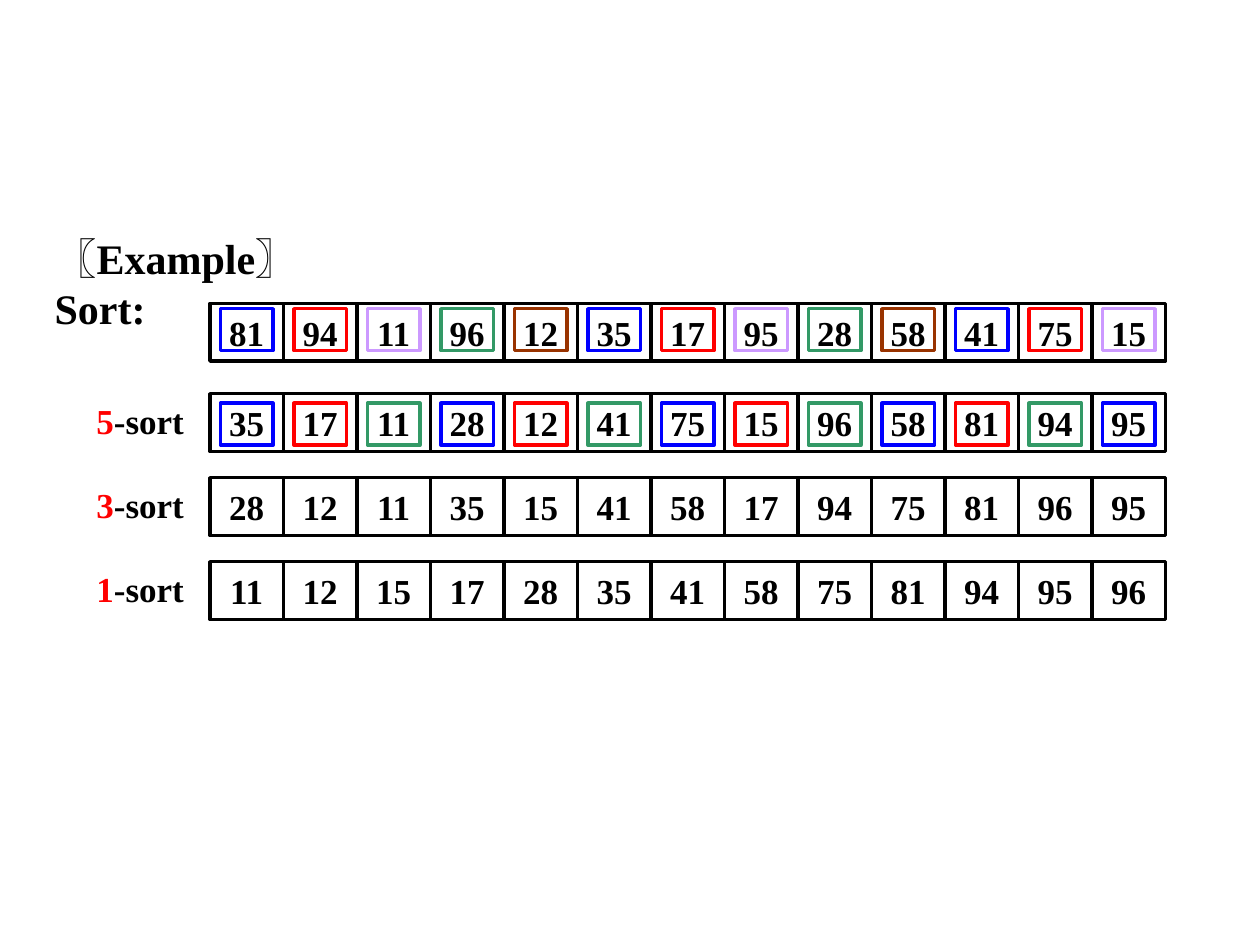
from dataclasses import dataclass

from pptx import Presentation
from pptx.dml.color import RGBColor
from pptx.enum.shapes import MSO_SHAPE
from pptx.enum.text import MSO_ANCHOR, MSO_AUTO_SIZE, PP_ALIGN
from pptx.util import Pt

RECTANGLE = MSO_SHAPE.RECTANGLE
TOP, MIDDLE = MSO_ANCHOR.TOP, MSO_ANCHOR.MIDDLE
LEFT, CENTER = PP_ALIGN.LEFT, PP_ALIGN.CENTER
NO_AUTOFIT = MSO_AUTO_SIZE.NONE

EMU_PER_PX = 7620  # 120 px to the inch


@dataclass(frozen=True)
class Theme:
    font: str = "Times New Roman"
    heading_size: int = 24
    number_size: int = 20
    line_width: int = 2
    black: str = "000000"
    red: str = "FF0000"
    blue: str = "0000FF"
    lilac: str = "CC99FF"
    green: str = "339966"
    brown: str = "993300"


THEME = Theme()

CELL_WIDTH, CELL_HEIGHT = 70, 55
RING_WIDTH, RING_HEIGHT = 50, 40
LABEL_WIDTH, LABEL_HEIGHT = 120, 52
ROW_LEFT, LABEL_LEFT = 200, 80

# top, gap of the sort that made the row, numbers, ring colours in turn, ring offset
ROWS = [
    (289, "", [81, 94, 11, 96, 12, 35, 17, 95, 28, 58, 41, 75, 15],
     [THEME.blue, THEME.red, THEME.lilac, THEME.green, THEME.brown], 5),
    (375, "5", [35, 17, 11, 28, 12, 41, 75, 15, 96, 58, 81, 94, 95],
     [THEME.blue, THEME.red, THEME.green], 9),
    (455, "3", [28, 12, 11, 35, 15, 41, 58, 17, 94, 75, 81, 96, 95], [], 0),
    (535, "1", [11, 12, 15, 17, 28, 35, 41, 58, 75, 81, 94, 95, 96], [], 0),
]


def px(*lengths):
    return [length * EMU_PER_PX for length in lengths]


def write(shape, parts, size, align=LEFT, anchor=TOP):
    """Fill a shape with one paragraph made of (text, colour) parts."""
    frame = shape.text_frame
    frame_format = {"word_wrap": True, "auto_size": NO_AUTOFIT,
                    "vertical_anchor": anchor}
    for name, value in frame_format.items():
        setattr(frame, name, value)
    paragraph = frame.paragraphs[0]
    paragraph.alignment = align
    font_format = {"name": THEME.font, "size": Pt(size), "bold": True}
    for text, colour in parts:
        run = paragraph.add_run()
        run.text = text
        for name, value in font_format.items():
            setattr(run.font, name, value)
        run.font.color.rgb = RGBColor.from_string(colour)


def add_outline(slide, box, colour):
    outline = slide.shapes.add_shape(RECTANGLE, *px(*box))
    outline.shadow.inherit = False
    outline.fill.background()
    outline.line.color.rgb = RGBColor.from_string(colour)
    outline.line.width = Pt(THEME.line_width)
    return outline


def add_heading(slide, box):
    heading = slide.shapes.title
    heading.left, heading.top, heading.width, heading.height = px(*box)
    write(heading, [("〖Example〗Sort:", THEME.black)], THEME.heading_size)
    # The wide right margin sends "Sort:" to the second line.
    heading.text_frame.margin_right = px(60)[0]


def add_sort_label(slide, box, gap):
    label = slide.shapes.add_textbox(*px(*box))
    write(label, [(gap, THEME.red), ("-sort", THEME.black)], THEME.number_size)


def add_number_row(slide, left, top, numbers):
    for column, number in enumerate(numbers):
        box = (left + column * CELL_WIDTH, top, CELL_WIDTH, CELL_HEIGHT)
        cell = add_outline(slide, box, THEME.black)
        write(cell, [(str(number), THEME.black)], THEME.number_size, CENTER, MIDDLE)


def add_rings(slide, left, top, count, colours):
    """Ring the numbers that the next pass sorts together in one colour."""
    inset = (CELL_WIDTH - RING_WIDTH) // 2
    for column in range(count):
        box = (left + column * CELL_WIDTH + inset, top, RING_WIDTH, RING_HEIGHT)
        add_outline(slide, box, colours[column % len(colours)])


def main():
    presentation = Presentation()
    presentation.slide_width, presentation.slide_height = px(1200, 900)
    title_only = presentation.slide_layouts[5]
    slide = presentation.slides.add_slide(title_only)

    add_heading(slide, (40, 215, 360, 60))
    for top, gap, numbers, ring_colours, ring_offset in ROWS:
        if gap:
            add_sort_label(slide, (LABEL_LEFT, top, LABEL_WIDTH, LABEL_HEIGHT), gap)
        add_number_row(slide, ROW_LEFT, top, numbers)
        if ring_colours:
            add_rings(slide, ROW_LEFT, top + ring_offset, len(numbers), ring_colours)

    presentation.save("out.pptx")


if __name__ == "__main__":
    main()
